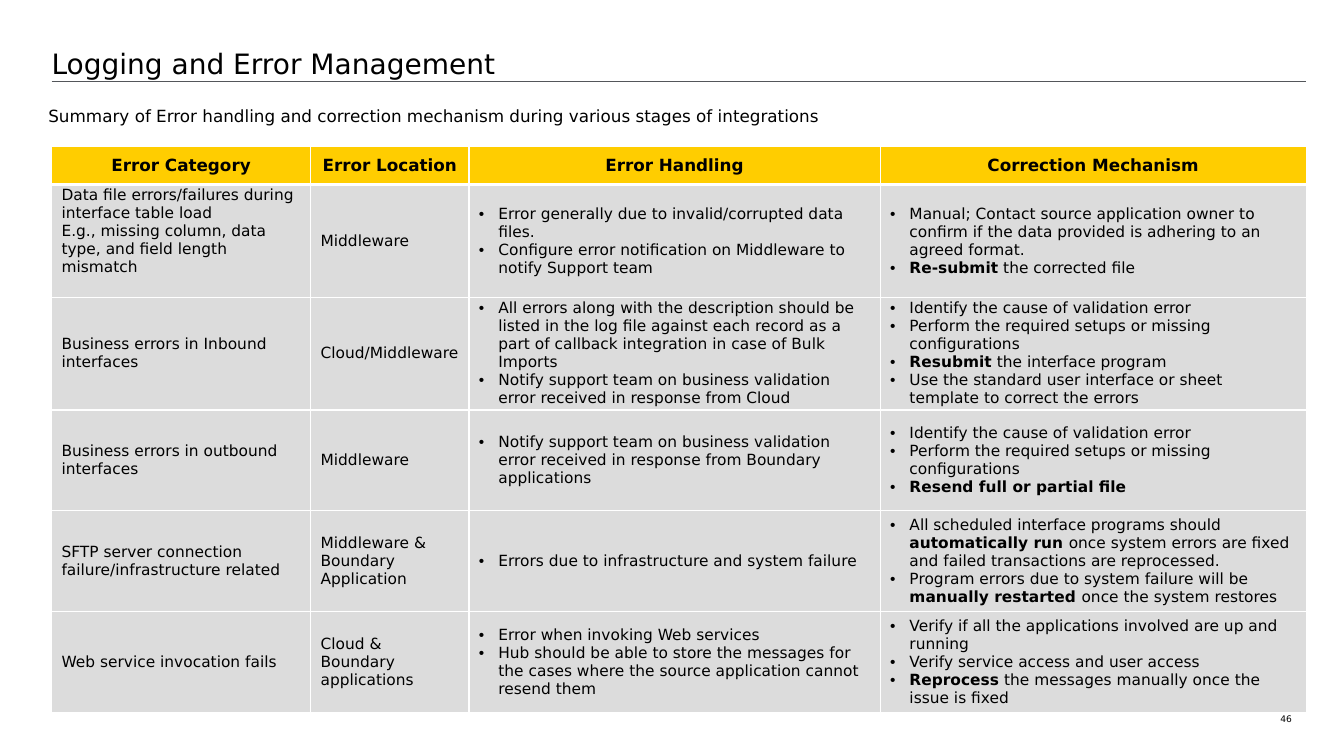
from dataclasses import dataclass

from lxml.etree import SubElement
from pptx import Presentation
from pptx.dml.color import RGBColor as RGB
from pptx.enum.shapes import MSO_CONNECTOR as Link
from pptx.enum.text import MSO_ANCHOR as Anchor, PP_ALIGN as Align
from pptx.oxml import parse_xml
from pptx.oxml.ns import nsdecls, qn
from pptx.util import Cm, Pt


@dataclass(frozen=True)
class Theme:
    font: str = "DejaVu Sans"
    ink: str = "000000"
    rule: str = "53565A"
    head: str = "FFCD00"
    body: str = "DCDCDC"
    edge: str = "FFFFFF"
    title: float = 20
    lead: float = 12
    cell: float = 11
    page: float = 6.5


THEME = Theme()
WIDTHS = [6.53, 3.99, 10.36, 10.74]
HEIGHTS = [0.97, 2.84, 2.84, 2.54, 2.54, 2.54]
PAD = 0.25
HANG = 0.49

HEADS = ["Error Category", "Error Location", "Error Handling", "Correction Mechanism"]
# Each cell lists its paragraphs; ** marks the start and end of bold text.
ROWS = [
    (["Data file errors/failures during interface table load",
      "E.g., missing column, data type, and field length mismatch"],
     ["Middleware"],
     ["Error generally due to invalid/corrupted data files.",
      "Configure error notification on Middleware to notify Support team"],
     ["Manual; Contact source application owner to confirm if the data provided "
      "is adhering to an agreed format.",
      "**Re-submit** the corrected file"]),
    (["Business errors in Inbound interfaces"],
     ["Cloud/Middleware"],
     ["All errors along with the description should be listed in the log file against "
      "each record as a part of callback integration in case of Bulk Imports",
      "Notify support team on business validation error received in response from Cloud"],
     ["Identify the cause of validation error",
      "Perform the required setups or missing configurations",
      "**Resubmit** the interface program",
      "Use the standard user interface or sheet template to correct the errors"]),
    (["Business errors in outbound interfaces"],
     ["Middleware"],
     ["Notify support team on business validation error received in response from "
      "Boundary applications"],
     ["Identify the cause of validation error",
      "Perform the required setups or missing configurations",
      "**Resend full or partial file**"]),
    (["SFTP server connection failure/infrastructure related"],
     ["Middleware & Boundary Application"],
     ["Errors due to infrastructure and system failure"],
     ["All scheduled interface programs should **automatically run **once system errors "
      "are fixed and failed transactions are reprocessed.",
      "Program errors due to system failure will be **manually restarted **once the "
      "system restores"]),
    (["Web service invocation fails"],
     ["Cloud & Boundary applications"],
     ["Error when invoking Web services",
      "Hub should be able to store the messages for the cases where the source "
      "application cannot resend them"],
     ["Verify if all the applications involved are up and running",
      "Verify service access and user access",
      "**Reprocess** the messages manually once the issue is fixed"]),
]


def style(font, size, bold=False):
    font.name = THEME.font
    font.size = Pt(size)
    font.bold = bold
    font.color.rgb = RGB.from_string(THEME.ink)


def add_text(slide, box, text, size, align=Align.LEFT, inset=(0, 0), anchor=Anchor.TOP):
    frame = slide.shapes.add_textbox(*map(Cm, box)).text_frame
    frame.word_wrap = True
    frame.vertical_anchor = anchor
    frame.margin_left = frame.margin_right = Cm(inset[0])
    frame.margin_top = frame.margin_bottom = Cm(inset[1])
    frame.text = text
    para = frame.paragraphs[0]
    para.alignment = align
    style(para.runs[0].font, size)


def add_rule(slide, left, top, width):
    line = slide.shapes.add_connector(
        Link.STRAIGHT, Cm(left), Cm(top), Cm(left + width), Cm(top))
    line.line.color.rgb = RGB.from_string(THEME.rule)
    line.line.width = Pt(0.75)
    SubElement(line._element.spPr, qn("a:effectLst"))


def set_bullet(para):
    props = para._p.get_or_add_pPr()
    props.set("marL", str(Cm(HANG)))
    props.set("indent", str(-Cm(HANG)))
    SubElement(props, qn("a:buFont"), typeface="Arial")
    SubElement(props, qn("a:buChar"), char="•")


def dress(cell, fill, below):
    """Fill a cell and draw its edges, the lower one `below` points wide."""
    cell.vertical_anchor = Anchor.MIDDLE
    cell.margin_top = cell.margin_bottom = 0
    cell.fill.solid()
    cell.fill.fore_color.rgb = RGB.from_string(fill)
    props = cell._tc.get_or_add_tcPr()
    for spot, (side, width) in enumerate(zip("LRTB", (1, 1, 1, below))):
        props.insert(spot, parse_xml(
            f'<a:ln{side} {nsdecls("a")} w="{Pt(width)}"><a:solidFill>'
            f'<a:srgbClr val="{THEME.edge}"/></a:solidFill></a:ln{side}>'))


def fill_head(cell, text):
    dress(cell, THEME.head, 3)
    cell.margin_left = cell.margin_right = 0
    cell.text_frame.text = text
    para = cell.text_frame.paragraphs[0]
    para.alignment = Align.CENTER
    style(para.runs[0].font, THEME.lead, True)


def fill_body(cell, lines, listed):
    dress(cell, THEME.body, 1)
    cell.margin_left = cell.margin_right = Cm(PAD)
    frame = cell.text_frame
    for spot, line in enumerate(lines):
        para = frame.paragraphs[0] if spot == 0 else frame.add_paragraph()
        if listed:
            set_bullet(para)
        for turn, part in enumerate(line.split("**")):
            if part:
                run = para.add_run()
                run.text = part
                style(run.font, THEME.cell, turn % 2 == 1)


def add_grid(slide, left, top):
    frame = slide.shapes.add_table(
        len(HEIGHTS), len(WIDTHS), Cm(left), Cm(top),
        Cm(sum(WIDTHS)), Cm(sum(HEIGHTS)))
    table = frame.table
    for col, width in zip(table.columns, WIDTHS):
        col.width = Cm(width)
    for row, height in zip(table.rows, HEIGHTS):
        row.height = Cm(height)
    for col, text in enumerate(HEADS):
        fill_head(table.cell(0, col), text)
    for row, cells in enumerate(ROWS, 1):
        for col, lines in enumerate(cells):
            fill_body(table.cell(row, col), lines, listed=col >= 2)
    table.cell(1, 0).margin_bottom = Cm(0.5)


def add_header(slide, left, top, width):
    """Place the title, the rule under it and the lead sentence."""
    high = 0.94
    add_text(slide, (left, top, width, high), "Logging and Error Management",
             THEME.title, anchor=Anchor.MIDDLE)
    add_rule(slide, left, top + high, width)
    add_text(slide, (left - 0.33, top + 1.42, width + 0.56, 0.76),
             "Summary of Error handling and correction mechanism during various "
             "stages of integrations", THEME.lead, inset=(0.25, 0.13))


def main():
    deck = Presentation()
    deck.slide_width, deck.slide_height = Cm(33.87), Cm(19.05)
    slide = deck.slides.add_slide(deck.slide_layouts[6])
    left = 1.3
    add_header(slide, left, 1.12, sum(WIDTHS))
    add_grid(slide, left, 3.68)
    add_text(slide, (31.7, 17.98, 0.86, 0.28), "46", THEME.page, Align.RIGHT)
    deck.save("out.pptx")


if __name__ == "__main__":
    main()
